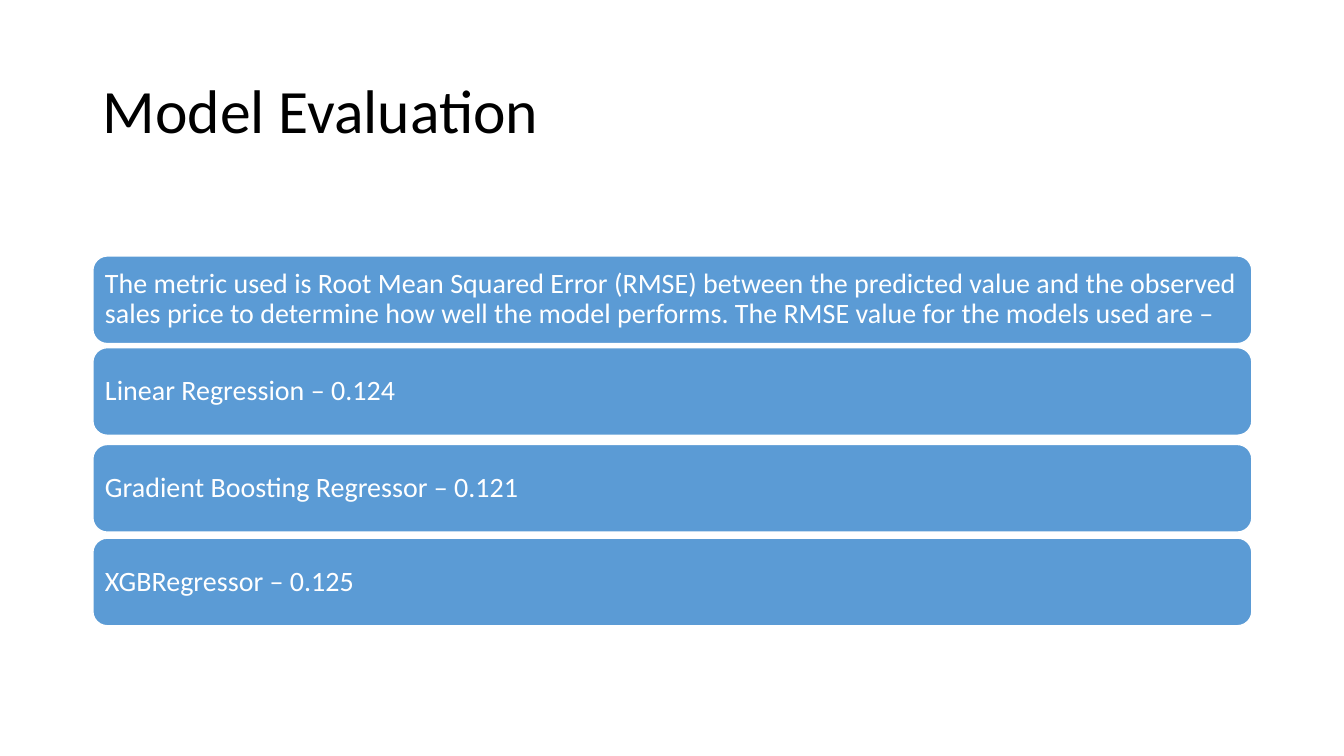
"""Build the Model Evaluation slide: a title above four rounded bars."""
from pptx import Presentation
from pptx import util as u
from pptx.dml.color import RGBColor
from pptx.enum import shapes, text

TITLE = "Model Evaluation"
BARS = [
    (6.45, "The metric used is Root Mean Squared Error (RMSE) between the predicted value "
           "and the observed sales price to determine how well the model performs. "
           "The RMSE value for the models used are –"),
    (8.76, "Linear Regression – 0.124"),
    (11.2, "Gradient Boosting Regressor – 0.121"),
    (13.56, "XGBRegressor – 0.125"),
]

BLACK = RGBColor(0x00, 0x00, 0x00)
WHITE = RGBColor(0xFF, 0xFF, 0xFF)
BLUE = RGBColor(0x5B, 0x9B, 0xD5)
FONT = "Calibri"
LEFT, WIDTH = u.Cm(2.34), u.Cm(29.21)
TITLE_TOP, TITLE_HEIGHT = u.Cm(1.01), u.Cm(3.68)
BAR_HEIGHT = u.Cm(2.21)


def write(holder, words, size, color, side, edge):
    frame = holder.text_frame
    frame.word_wrap = True
    frame.vertical_anchor = text.MSO_ANCHOR.MIDDLE
    frame.margin_left = frame.margin_right = u.Cm(side)
    frame.margin_top = frame.margin_bottom = u.Cm(edge)
    line = frame.paragraphs[0]
    line.alignment = text.PP_ALIGN.LEFT
    line.line_spacing = 0.9
    run = line.add_run()
    run.text = words
    run.font.name = FONT
    run.font.size = u.Pt(size)
    run.font.color.rgb = color


def main():
    deck = Presentation()
    deck.slide_width, deck.slide_height = u.Cm(33.87), u.Cm(19.05)
    slide = deck.slides.add_slide(deck.slide_layouts[6])

    title = slide.shapes.add_textbox(LEFT, TITLE_TOP, WIDTH, TITLE_HEIGHT)
    write(title, TITLE, size=44, color=BLACK, side=0.25, edge=0.13)

    for top, words in BARS:
        bar = slide.shapes.add_shape(
            shapes.MSO_SHAPE.ROUNDED_RECTANGLE, LEFT, u.Cm(top), WIDTH, BAR_HEIGHT)
        bar.shadow.inherit = False
        bar.fill.solid()
        bar.fill.fore_color.rgb = BLUE
        bar.line.color.rgb = WHITE
        bar.line.width = u.Pt(1)
        write(bar, words, size=20, color=WHITE, side=0.2, edge=0.2)

    deck.save("out.pptx")


if __name__ == "__main__":
    main()
